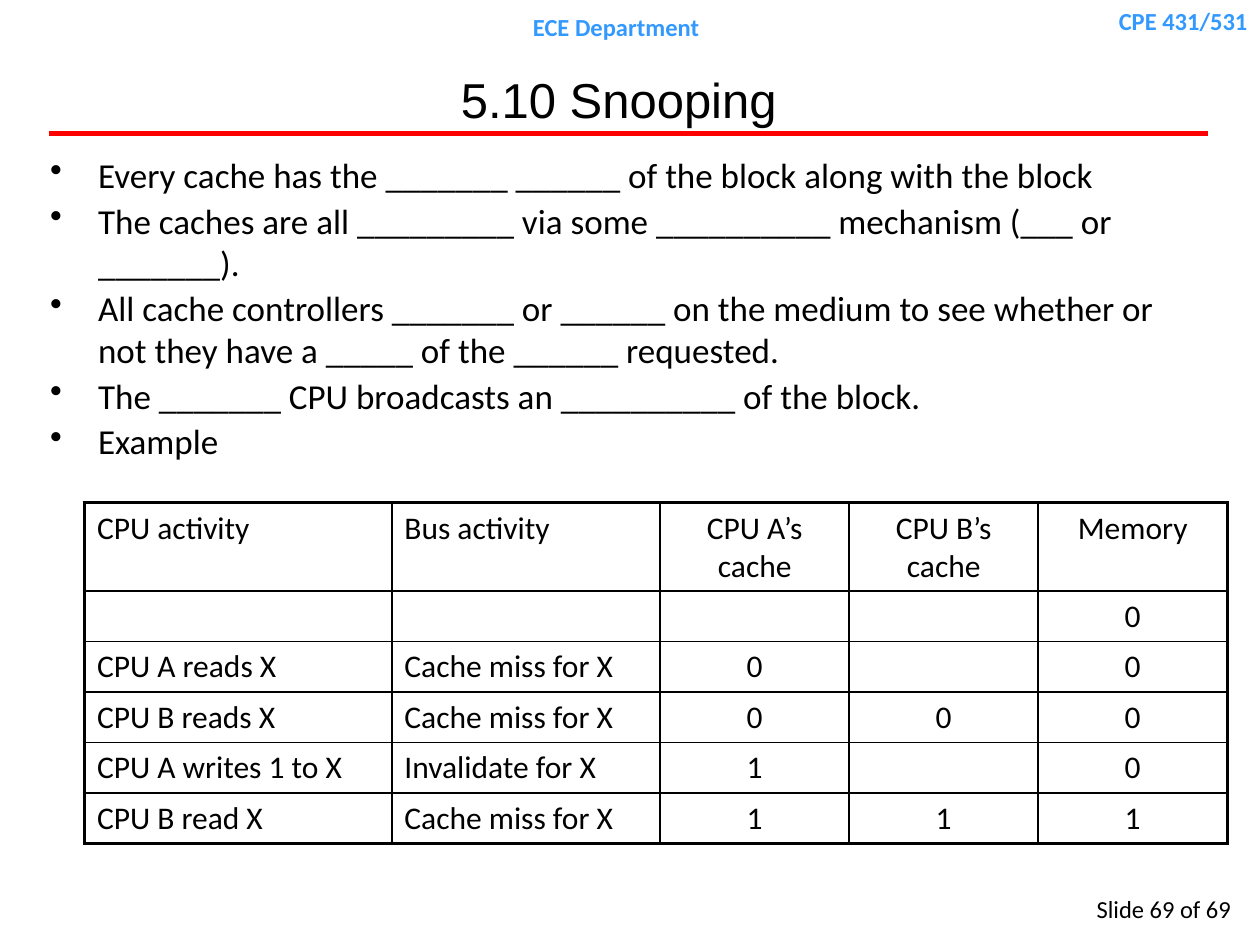
from dataclasses import dataclass

from lxml.etree import SubElement
from pptx import Presentation
from pptx.dml.color import RGBColor
from pptx.enum.shapes import MSO_CONNECTOR
from pptx.enum.text import MSO_ANCHOR, PP_ALIGN
from pptx.oxml.ns import qn
from pptx.slide import Slide
from pptx.table import _Cell
from pptx.text.text import _Paragraph
from pptx.util import Inches, Pt

BLACK = "000000"
RED = "FF0000"
BLUE = "3399FF"
OUTER_BORDER, INNER_BORDER = 2.25, 1


@dataclass
class Label:
    """A block of text with one style for all its paragraphs."""

    lines: list[str]
    left: float
    top: float
    width: float
    height: float
    size: int
    align: PP_ALIGN
    color: str = BLACK
    font: str = "Calibri"
    bold: bool = False
    anchor: MSO_ANCHOR = MSO_ANCHOR.TOP
    bulleted: bool = False


LABELS = [
    Label(["CPE 431/531"], 7.72, 0, 2.28, 0.34, 14, PP_ALIGN.RIGHT, BLUE, bold=True),
    Label(["ECE Department"], 3.44, 0.05, 2.9, 0.34, 14, PP_ALIGN.CENTER, BLUE, bold=True),
    Label(["Slide 69 of 69"], 8.41, 7.05, 1.46, 0.34, 14, PP_ALIGN.RIGHT),
    Label(["5.10 Snooping"], 0, 0.44, 9.82, 0.69, 28, PP_ALIGN.CENTER,
          font="Arial", anchor=MSO_ANCHOR.MIDDLE),
    Label([
        "Every cache has the _______ ______ of the block along with the block",
        "The caches are all _________ via some __________ mechanism (___ or _______).",
        "All cache controllers _______ or ______ on the medium to see whether or "
        "not they have a _____ of the ______ requested.",
        "The _______ CPU broadcasts an __________ of the block.",
        "Example",
    ], 0.3, 1.17, 8.98, 3.05, 20, PP_ALIGN.LEFT, bulleted=True),
]

COLUMN_WIDTHS = [2.44, 2.13, 1.5, 1.5, 1.5]
ROW_HEIGHTS = [0.7] + [0.4] * 5
TEXT_COLUMNS = 2
SNOOPING_STEPS = [
    ["CPU activity", "Bus activity", "CPU A’s cache", "CPU B’s cache", "Memory"],
    ["", "", "", "", "0"],
    ["CPU A reads X", "Cache miss for X", "0", "", "0"],
    ["CPU B reads X", "Cache miss for X", "0", "0", "0"],
    ["CPU A writes 1 to X", "Invalidate for X", "1", "", "0"],
    ["CPU B read X", "Cache miss for X", "1", "1", "1"],
]


def rgb(color: str) -> RGBColor:
    """Turn a hex string into a colour."""
    return RGBColor.from_string(color)


def style_paragraph(paragraph: _Paragraph, size: int, align: PP_ALIGN,
                    color: str = BLACK, font: str = "Calibri", bold: bool = False) -> None:
    """Set the alignment and font of a paragraph."""
    paragraph.alignment = align
    paragraph.font.name = font
    paragraph.font.size = Pt(size)
    paragraph.font.bold = bold
    paragraph.font.color.rgb = rgb(color)


def add_bullet(paragraph: _Paragraph) -> None:
    """Give a paragraph a hanging bullet and a small gap above."""
    paragraph.space_before = Pt(2)
    properties = paragraph._p.get_or_add_pPr()
    properties.set("marL", str(Inches(0.38)))
    properties.set("indent", str(-Inches(0.38)))
    bullet = properties.makeelement(qn("a:buChar"), {"char": "•"})
    properties.find(qn("a:defRPr")).addprevious(bullet)


def add_label(slide: Slide, label: Label) -> None:
    """Draw a label as a text box."""
    frame = slide.shapes.add_textbox(
        Inches(label.left), Inches(label.top), Inches(label.width), Inches(label.height)
    ).text_frame
    frame.word_wrap = True
    frame.vertical_anchor = label.anchor
    frame.text = "\n".join(label.lines)
    for paragraph in frame.paragraphs:
        style_paragraph(paragraph, label.size, label.align, label.color, label.font, label.bold)
        if label.bulleted:
            add_bullet(paragraph)


def add_title_rule(slide: Slide) -> None:
    """Draw the red line under the title."""
    rule = slide.shapes.add_connector(
        MSO_CONNECTOR.STRAIGHT, Inches(0.39), Inches(1.06), Inches(9.59), Inches(1.06)
    )
    rule.line.color.rgb = rgb(RED)
    rule.line.width = Pt(3)
    SubElement(rule._element.spPr, qn("a:effectLst"))


def set_borders(cell: _Cell, row: int, column: int) -> None:
    """Draw the cell's borders, thicker along the table's outer edge."""
    on_outer_edge = {
        "a:lnL": column == 0,
        "a:lnR": column == len(COLUMN_WIDTHS) - 1,
        "a:lnT": row == 0,
        "a:lnB": row == len(ROW_HEIGHTS) - 1,
    }
    properties = cell._tc.get_or_add_tcPr()
    for side, outer in on_outer_edge.items():
        width = Pt(OUTER_BORDER if outer else INNER_BORDER)
        border = SubElement(properties, qn(side), w=str(width))
        SubElement(SubElement(border, qn("a:solidFill")), qn("a:srgbClr"), val=BLACK)


def add_snooping_table(slide: Slide) -> None:
    """Draw the table of the snooping example."""
    table = slide.shapes.add_table(
        len(ROW_HEIGHTS), len(COLUMN_WIDTHS), Inches(0.67), Inches(3.99),
        Inches(sum(COLUMN_WIDTHS)), Inches(sum(ROW_HEIGHTS)),
    ).table
    table.first_row = False
    table.horz_banding = False
    for column, width in zip(table.columns, COLUMN_WIDTHS):
        column.width = Inches(width)
    for row, height in zip(table.rows, ROW_HEIGHTS):
        row.height = Inches(height)
    for row, step in enumerate(SNOOPING_STEPS):
        for column, entry in enumerate(step):
            cell = table.cell(row, column)
            cell.text = entry
            align = PP_ALIGN.LEFT if column < TEXT_COLUMNS else PP_ALIGN.CENTER
            style_paragraph(cell.text_frame.paragraphs[0], 18, align)
            set_borders(cell, row, column)
            cell.fill.background()


def main() -> None:
    """Build and save the slide."""
    presentation = Presentation()
    presentation.slide_width = Inches(10)
    presentation.slide_height = Inches(7.5)
    slide = presentation.slides.add_slide(presentation.slide_layouts[6])
    add_title_rule(slide)
    for label in LABELS:
        add_label(slide, label)
    add_snooping_table(slide)
    presentation.save("out.pptx")


if __name__ == "__main__":
    main()
